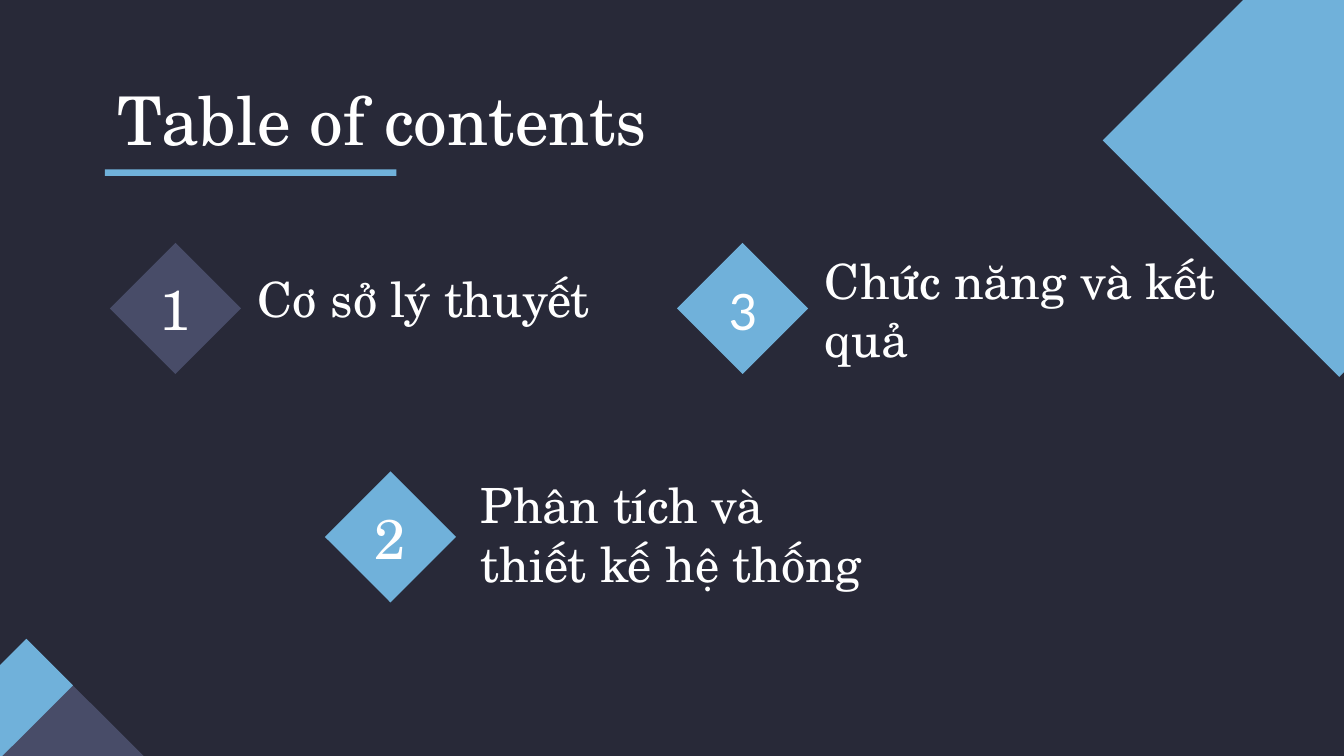
from dataclasses import dataclass
from pptx import Presentation
from pptx import util as u
from pptx.dml.color import RGBColor
from pptx.enum import shapes, text

HUES = {"night": "282938", "plum": "484C68", "sky": "70B1DA", "white": "FFFFFF"}
SERIF = "TeX Gyre Schola"
WIDE = 10
SIDE = 0.69


@dataclass
class Block:
    left: float
    top: float
    width: float
    height: float
    hue: str
    turn: int = 45


@dataclass
class Label:
    left: float
    top: float
    width: float
    height: float
    words: str
    size: int
    face: str = SERIF
    align: text.PP_ALIGN = text.PP_ALIGN.LEFT


@dataclass
class Topic:
    left: float
    top: float
    hue: str
    digit: str
    words: str
    at: tuple[float, float]
    face: str = SERIF


DECOR = [
    Block(-0.12, 5.18, 0.93, 1.34, "plum"),
    Block(-0.35, 4.73, 0.49, 1.34, "sky"),
    Block(8.72, -0.2, 2.49, 2.49, "sky"),
    Block(0.78, 1.26, 2.17, 0.05, "sky", 0),
]
TOPICS = [
    Topic(0.96, 1.95, "plum", "1", "Cơ sở lý thuyết", (1.82, 1.87)),
    Topic(2.56, 3.65, "sky", "2", "Phân tích và thiết kế hệ thống", (3.48, 3.62)),
    Topic(5.18, 1.95, "sky", "3", "Chức năng và kết quả", (6.04, 1.95), "Calibri"),
]


def tint(fill, hue: str) -> None:
    """Make a fill solid in a named colour."""
    fill.solid()
    fill.fore_color.rgb = RGBColor.from_string(HUES[hue])


def draw(slide, block: Block) -> None:
    """Draw one flat, turned rectangle."""
    box = [u.Inches(n) for n in (block.left, block.top, block.width, block.height)]
    shape = slide.shapes.add_shape(shapes.MSO_SHAPE.RECTANGLE, *box)
    shape.rotation = block.turn
    shape.shadow.inherit = False
    shape.line.fill.background()
    tint(shape.fill, block.hue)


def write(slide, label: Label) -> None:
    """Write one label in a wrapped, middle-anchored box."""
    box = [u.Inches(n) for n in (label.left, label.top, label.width, label.height)]
    frame = slide.shapes.add_textbox(*box).text_frame
    look = {"word_wrap": True, "vertical_anchor": text.MSO_ANCHOR.MIDDLE}
    look |= {f"margin_{edge}": u.Inches(0.1) for edge in ("left", "top", "right", "bottom")}
    for name, value in look.items():
        setattr(frame, name, value)
    para = frame.paragraphs[0]
    para.alignment = label.align
    run = para.add_run()
    run.text = label.words
    for name, value in {"name": label.face, "size": u.Pt(label.size)}.items():
        setattr(run.font, name, value)
    tint(run.font.fill, "white")


def show(slide, topic: Topic) -> None:
    """Draw a numbered diamond and its heading."""
    draw(slide, Block(topic.left, topic.top, SIDE, SIDE, topic.hue))
    write(slide, Label(topic.left + 0.02, topic.top + 0.06, 0.65, 0.57,
                       topic.digit, 30, topic.face, text.PP_ALIGN.CENTER))
    write(slide, Label(*topic.at, 3.17, 0.7, topic.words, 26))


def main() -> None:
    """Build and save the contents slide."""
    deck = Presentation()
    deck.slide_width, deck.slide_height = u.Inches(WIDE), u.Inches(WIDE * 9 / 16)
    slide = deck.slides.add_slide(deck.slide_layouts[6])
    tint(slide.background.fill, "night")
    for block in DECOR:
        draw(slide, block)
    write(slide, Label(0.78, 0.59, 8.44, 0.59, "Table of contents", 36))
    for topic in TOPICS:
        show(slide, topic)
    deck.save("out.pptx")


if __name__ == "__main__":
    main()
